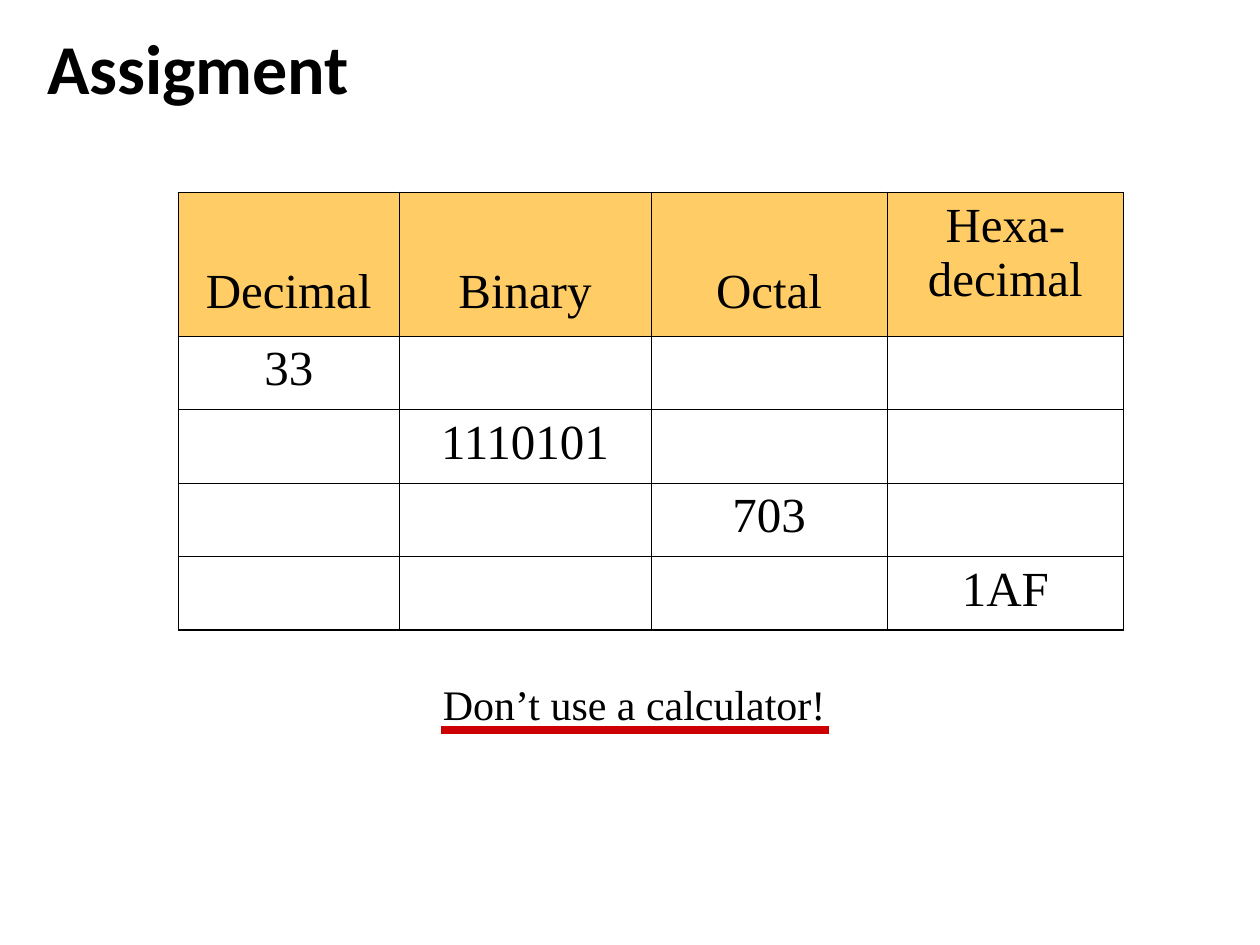
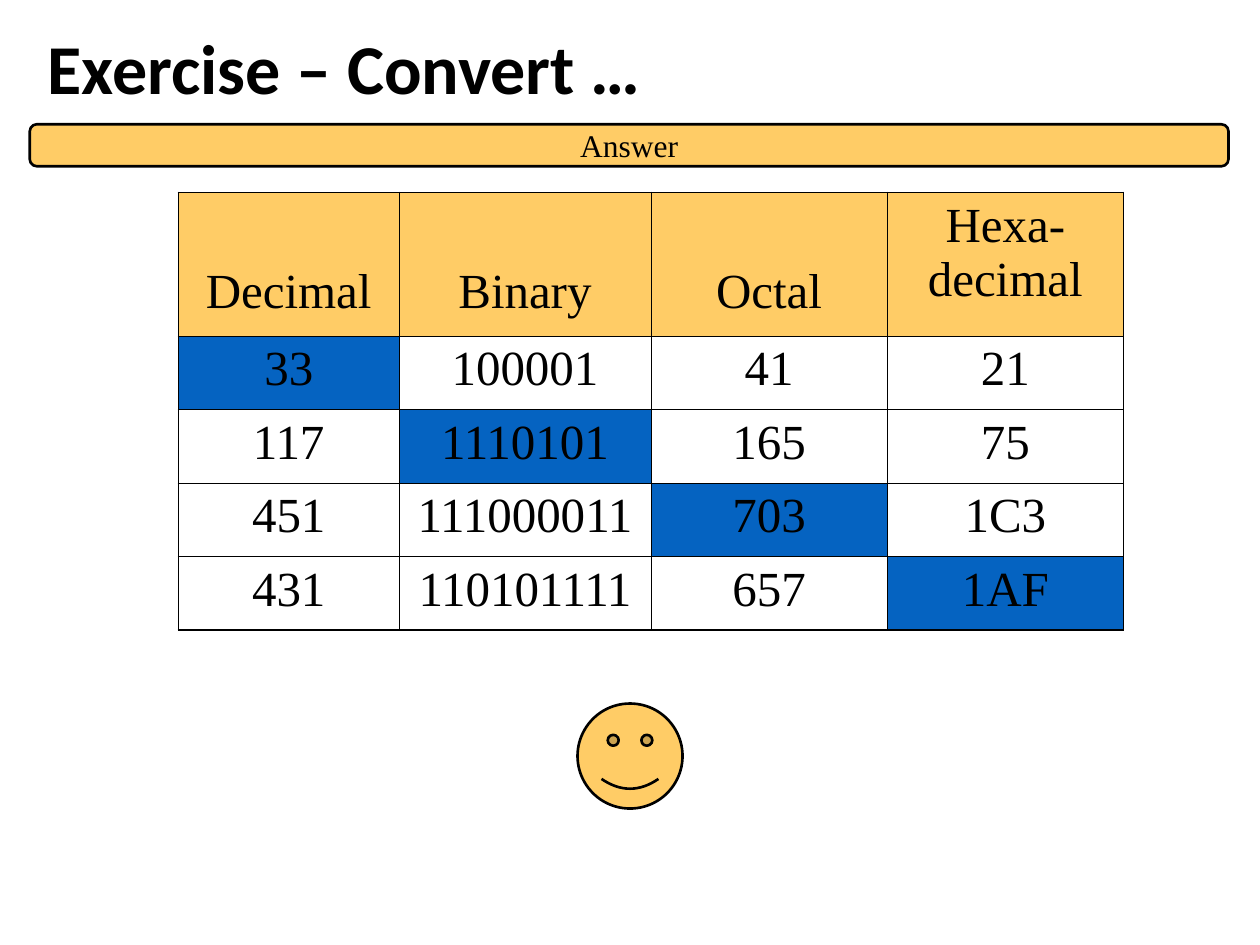
from dataclasses import dataclass

from lxml.etree import SubElement
from pptx import Presentation
from pptx.dml.color import RGBColor
from pptx.enum.shapes import MSO_CONNECTOR, MSO_SHAPE
from pptx.enum.text import MSO_ANCHOR, PP_ALIGN
from pptx.oxml.ns import qn
from pptx.util import Pt

ASSIGNMENT_TITLE = "Assigment"
ANSWER_TITLE = "Exercise – Convert …"
HINT = "Don’t use a calculator!"
ANSWER_LABEL = "Answer"
BASES = ["Decimal", "Binary", "Octal", "Hexa-\vdecimal"]
# Row n is given in base n; the other columns are its conversions.
NUMBERS = [
    ["33", "100001", "41", "21"],
    ["117", "1110101", "165", "75"],
    ["451", "111000011", "703", "1C3"],
    ["431", "110101111", "657", "1AF"],
]


@dataclass(frozen=True)
class Theme:
    ink: str = "000000"
    paper: str = "FFFFFF"
    accent: str = "FFCC66"
    given: str = "0563C1"
    underline: str = "CC0000"
    title_font: str = "Calibri"
    body_font: str = "Times New Roman"
    title_size: float = 40
    table_size: float = 28
    hint_size: float = 24
    label_size: float = 18
    outline: float = 1.5
    outer_border: float = 1.08
    inner_border: float = 0.45


THEME = Theme()
TITLE_BOX = (20, 0, 673, 82)
TABLE_ORIGIN = (102, 110)
COL_WIDTHS = [126, 144, 135, 135]
HEADER_HEIGHT, ROW_HEIGHT = 82, 42
ONE_LINE_HEADER_TOP = 41.6


def points(*values):
    return [Pt(v) for v in values]


def write(tf, text, size=THEME.table_size, font=THEME.body_font, bold=False,
          align=PP_ALIGN.LEFT, spacing=None):
    p = tf.paragraphs[0]
    p.text = text
    p.alignment = align
    p.line_spacing = spacing
    for r in p.runs:
        r.font.size = Pt(size)
        r.font.name = font
        r.font.bold = bold
        r.font.color.rgb = RGBColor.from_string(THEME.ink)


def add_slide(prs, title):
    slide = prs.slides.add_slide(prs.slide_layouts[5])
    sp = slide.shapes.title
    sp.left, sp.top, sp.width, sp.height = points(*TITLE_BOX)
    sp.text_frame.vertical_anchor = MSO_ANCHOR.MIDDLE
    write(sp.text_frame, title, size=THEME.title_size, font=THEME.title_font,
          bold=True, spacing=0.9)
    return slide


def set_borders(cell, outer_sides):
    tc_pr = cell._tc.get_or_add_tcPr()
    for side in "LRTB":
        width = THEME.outer_border if side in outer_sides else THEME.inner_border
        ln = SubElement(tc_pr, qn(f"a:ln{side}"), w=str(int(Pt(width))))
        fill = SubElement(ln, qn("a:solidFill"))
        SubElement(fill, qn("a:srgbClr"), val=THEME.ink)


def add_number_table(slide, solved):
    """Show every conversion if solved, otherwise only the given numbers."""
    rows = [BASES] + NUMBERS
    last_row, last_col = len(rows) - 1, len(BASES) - 1
    height = HEADER_HEIGHT + ROW_HEIGHT * last_row
    table = slide.shapes.add_table(
        len(rows), len(BASES), *points(*TABLE_ORIGIN, sum(COL_WIDTHS), height)).table
    table.first_row = table.horz_banding = False
    for column, width in zip(table.columns, COL_WIDTHS):
        column.width = Pt(width)
    for i, row in enumerate(rows):
        table.rows[i].height = Pt(ROW_HEIGHT if i else HEADER_HEIGHT)
        for j, text in enumerate(row):
            cell = table.cell(i, j)
            edges = {"T": i == 0, "B": i == last_row, "L": j == 0, "R": j == last_col}
            set_borders(cell, [side for side, outer in edges.items() if outer])
            is_header, is_given = i == 0, i == j + 1
            color = THEME.paper
            if is_header:
                color = THEME.accent
            elif is_given and solved:
                color = THEME.given
            cell.fill.solid()
            cell.fill.fore_color.rgb = RGBColor.from_string(color)
            if is_header and "\v" not in text:
                cell.margin_top = Pt(ONE_LINE_HEADER_TOP)
            if is_header or is_given or solved:
                write(cell.text_frame, text, align=PP_ALIGN.CENTER)


def add_accent_shape(slide, kind, box, adjustment):
    sp = slide.shapes.add_shape(kind, *points(*box))
    sp.adjustments[0] = adjustment
    sp.shadow.inherit = False
    sp.fill.solid()
    sp.fill.fore_color.rgb = RGBColor.from_string(THEME.accent)
    sp.line.color.rgb = RGBColor.from_string(THEME.ink)
    sp.line.width = Pt(THEME.outline)
    return sp


def add_underlined_hint(slide):
    shapes = slide.shapes.add_group_shape().shapes
    tf = shapes.add_textbox(*points(246, 384, 233, 36)).text_frame
    tf.word_wrap = False
    write(tf, HINT, size=THEME.hint_size)
    line = shapes.add_connector(MSO_CONNECTOR.STRAIGHT, *points(252, 417, 474, 417))
    line.line.color.rgb = RGBColor.from_string(THEME.underline)
    line.line.width = Pt(4.5)
    SubElement(line._element.spPr, qn("a:effectLst"))


def add_answer_bar(slide):
    bar = add_accent_shape(slide, MSO_SHAPE.ROUNDED_RECTANGLE, (17, 71, 685, 24), 0.17)
    tf = bar.text_frame
    tf.margin_top = tf.margin_bottom = 0
    tf.vertical_anchor = MSO_ANCHOR.MIDDLE
    write(tf, ANSWER_LABEL, size=THEME.label_size, align=PP_ALIGN.CENTER)


def main():
    prs = Presentation()
    prs.slide_width, prs.slide_height = points(720, 540)

    assignment = add_slide(prs, ASSIGNMENT_TITLE)
    add_underlined_hint(assignment)
    add_number_table(assignment, solved=False)

    answer = add_slide(prs, ANSWER_TITLE)
    add_number_table(answer, solved=True)
    add_accent_shape(answer, MSO_SHAPE.SMILEY_FACE, (330, 402, 60, 60), 0.09)
    add_answer_bar(answer)

    prs.save("out.pptx")


if __name__ == "__main__":
    main()
